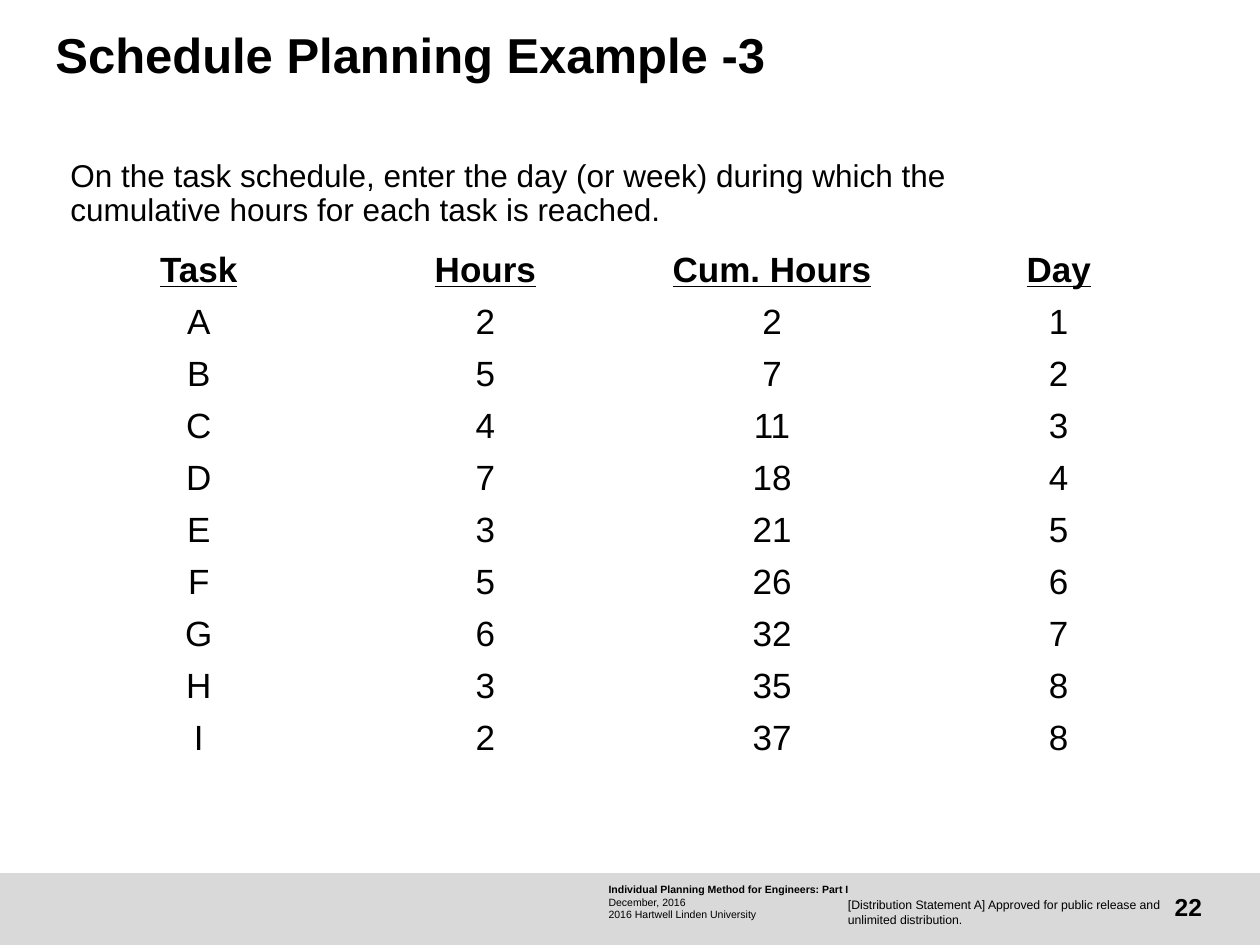
from itertools import accumulate

from pptx import Presentation
from pptx.dml.color import RGBColor
from pptx.enum.shapes import MSO_SHAPE
from pptx.enum.text import MSO_ANCHOR, PP_ALIGN
from pptx.util import Inches, Pt

TASKS = "ABCDEFGHI"
HOURS = [2, 5, 4, 7, 3, 5, 6, 3, 2]
DAYS = [1, 2, 3, 4, 5, 6, 7, 8, 8]


def color(value):
    return RGBColor.from_string(value)


def write(frame, text, size=18, bold=False, underline=False, align=PP_ALIGN.LEFT,
          spacing=None, ink="000000", font="Arial"):
    para = frame.paragraphs[0] if not frame.text else frame.add_paragraph()
    para.alignment = align
    para.line_spacing = spacing
    span = para.add_run()
    span.text = text
    span.font.name = font
    span.font.size = Pt(size)
    span.font.bold = bold
    span.font.underline = underline
    span.font.color.rgb = color(ink)


def set_frame(frame, anchor=MSO_ANCHOR.TOP, insets=(0, 0, 0, 0)):
    frame.word_wrap = True
    frame.vertical_anchor = anchor
    frame.margin_left, frame.margin_top, frame.margin_right, frame.margin_bottom = map(Inches, insets)


class SlideBuilder:
    band_fill = "D9D9D9"
    table_size = 20

    def __init__(self, deck):
        self.slide = deck.slides.add_slide(deck.slide_layouts[5])

    def title(self, text, left, top, width, height):
        box = self.slide.shapes.title
        box.left, box.top, box.width, box.height = map(Inches, (left, top, width, height))
        set_frame(box.text_frame)
        write(box.text_frame, text, size=28, bold=True, spacing=0.9)

    def band(self, left, top, width, height):
        band = self.slide.shapes.add_shape(
            MSO_SHAPE.RECTANGLE, *map(Inches, (left, top, width, height)))
        band.shadow.inherit = False
        band.fill.solid()
        band.fill.fore_color.rgb = color(self.band_fill)
        band.line.fill.background()

    def text(self, text, left, top, width, height, anchor=MSO_ANCHOR.TOP,
             insets=(0, 0, 0, 0), **style):
        box = self.slide.shapes.add_textbox(*map(Inches, (left, top, width, height)))
        set_frame(box.text_frame, anchor, insets)
        write(box.text_frame, text, **style)
        return box.text_frame

    def table(self, rows, left, top, width, height):
        table = self.slide.shapes.add_table(
            len(rows), len(rows[0]), *map(Inches, (left, top, width, height))).table
        table.first_row = False
        table.horz_banding = False
        for row_index, row in enumerate(rows):
            heading = row_index == 0
            for column_index, value in enumerate(row):
                cell = table.cell(row_index, column_index)
                cell.fill.background()
                cell.vertical_anchor = MSO_ANCHOR.MIDDLE
                cell.margin_left = cell.margin_right = 0
                cell.margin_top = cell.margin_bottom = 0
                write(cell.text_frame, str(value), size=self.table_size, bold=heading,
                      underline=heading, align=PP_ALIGN.CENTER)


def main():
    deck = Presentation()
    deck.slide_width, deck.slide_height = Inches(10), Inches(7.5)
    page = SlideBuilder(deck)

    page.band(0, 6.93, 10, 0.57)
    footer = page.text("Individual Planning Method for Engineers: Part I",
                       4.83, 7.01, 2.21, 0.3, insets=(0, 0, 0.05, 0), size=6, bold=True)
    for line in ("December, 2016", "2016 Hartwell Linden University"):
        write(footer, line, size=6)
    page.text("22", 8.98, 7, 0.56, 0.4, anchor=MSO_ANCHOR.MIDDLE,
              size=14, bold=True, align=PP_ALIGN.RIGHT)
    page.text("[Distribution Statement A] Approved for public release and unlimited distribution.",
              6.73, 7.12, 2.54, 0.24, size=7)

    page.text("On the task schedule, enter the day (or week) during which the "
              "cumulative hours for each task is reached.",
              0.3, 1.21, 8.56, 0.7, insets=(0.26, 0.06, 0.12, 0.06), spacing=0.9)
    page.title("Schedule Planning Example -3", 0.44, 0.25, 8.31, 0.73)
    rows = [("Task", "Hours", "Cum. Hours", "Day"),
            *zip(TASKS, HOURS, accumulate(HOURS), DAYS)]
    page.table(rows, 0.44, 1.94, 9.1, 4.13)

    deck.save("out.pptx")


if __name__ == "__main__":
    main()
